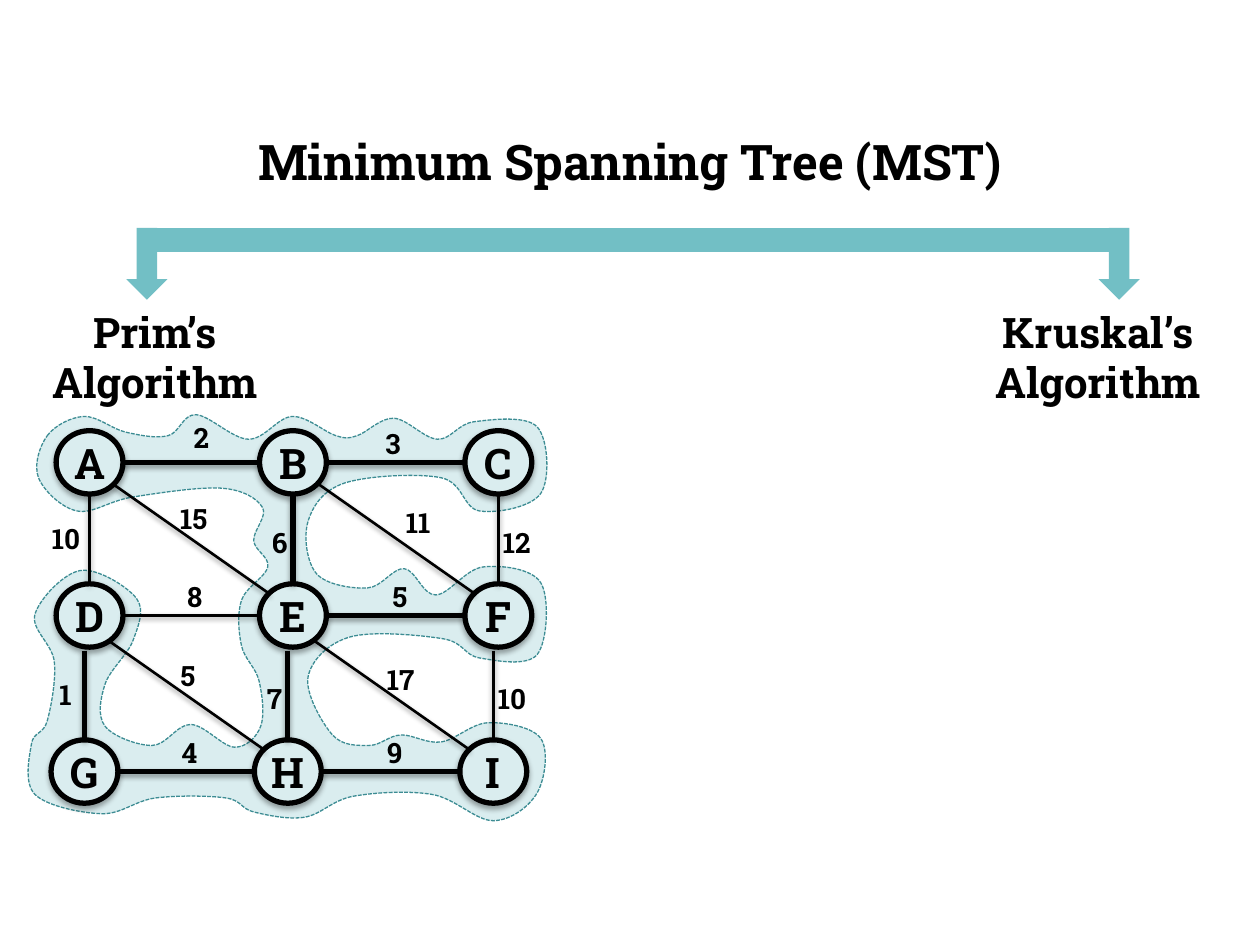
import pptx
import pptx.dml.color
import pptx.enum.dml
import pptx.enum.shapes
import pptx.enum.text
import pptx.oxml
import pptx.oxml.ns
import pptx.util

Pt = pptx.util.Pt
SHAPES = pptx.enum.shapes.MSO_SHAPE
ALIGN = pptx.enum.text.PP_ALIGN
NAMESPACE = pptx.oxml.ns.nsdecls("a")
FONT = "Roboto Slab"
BLACK, TEAL, PALE, DARK_TEAL = "000000", "72BFC5", "DAEDEF", "3C8C93"

# Content: headings as (lines, left, top, width, height, size, wrap)
HEADINGS = [
    ("Minimum Spanning Tree (MST)", 0, 71.6, 720, 41, 28, True),
    ("Prim’s\nAlgorithm", 21.6, 171.4, 134, 65.5, 24, False),
    ("Kruskal’s\nAlgorithm", 560.5, 171.4, 134, 65.5, 24, False),
]
BRACKET = [
    (SHAPES.RECTANGLE, 84.2, 130.3, 555, 13.7),
    (SHAPES.DOWN_ARROW, 72.2, 130.3, 23.5, 41),
    (SHAPES.DOWN_ARROW, 627.8, 130.3, 23.5, 41),
]

# Graph: node rows, and edges as (ends, weight, label left, label top)
NODE_ROWS = ["ABC", "DEF", "GHI"]
COLUMN_LEFTS = [32.1, 148.3, 265.7]
ROW_TOPS = [246.1, 333.6, 422.8]
ROW_SHIFTS = [0, 0, -2.9]
NODE_WIDTH, NODE_HEIGHT = 38.2, 36.2
TREE = {"AB", "BC", "BE", "EF", "EH", "GH", "HI", "DG"}
EDGES = [
    ("AB", 2, 103.5, 236.9), ("BC", 3, 213.1, 240.5),
    ("DE", 8, 99.9, 327.4), ("EF", 5, 217.2, 327.4),
    ("GH", 4, 96.7, 416.9), ("HI", 9, 214, 416.9),
    ("AD", 10, 22.5, 294.5), ("BE", 6, 148.3, 296.6), ("CF", 12, 280.3, 296.6),
    ("DG", 1, 26.8, 383.8), ("EH", 7, 145.4, 385.9), ("FI", 10, 277.4, 385.9),
    ("AE", 15, 95.8, 283), ("BF", 11, 224.8, 285.6),
    ("DH", 5, 96, 373), ("EI", 17, 214, 375.1),
]
# (row step, column step): offset of the end in its node, then run and rise
EDGE_GEOMETRY = {
    (0, 1): (0, NODE_HEIGHT / 2, 78.3, 0),
    (1, 0): (NODE_WIDTH / 2, 0, 0, 51),
    (1, 1): (5.8, 5.8, 89.3, 62.6),
}

# Bounds of the smooth tree outline, and the points it passes through
OUTLINE_BOUNDS = (16.6, 236.9, 295.9, 231.8)
OUTLINE = [
    (27, 249), (48, 238), (72, 247), (96, 249), (112, 237), (142, 251),
    (167, 238), (192, 249), (204, 249), (225, 239), (250, 251), (271, 241),
    (307, 244), (309, 282), (274, 292), (252, 273), (197, 276), (176, 298),
    (181, 328), (210, 336), (231, 325), (249, 340), (276, 324), (309, 333),
    (307, 374), (274, 376), (253, 365), (200, 364), (176, 387), (190, 420),
    (211, 426), (229, 420), (252, 424), (279, 413), (309, 422), (307, 453),
    (282, 469), (247, 454), (202, 455), (174, 467), (145, 464), (129, 456),
    (89, 456), (58, 465), (20, 454), (18, 425), (27, 412), (31, 378),
    (20, 351), (46, 326), (78, 342), (76, 366), (60, 391), (60, 415),
    (87, 426), (109, 414), (134, 427), (149, 415), (148, 389), (138, 369),
    (138, 343), (153, 324), (145, 309), (150, 290), (127, 279), (76, 284),
    (44, 292), (22, 273),
]


def color(value):
    return pptx.dml.color.RGBColor.from_string(value)


def style_shape(shape, fill, line=None, width=0):
    shape.fill.solid()
    shape.fill.fore_color.rgb = color(fill)
    if line:
        shape.line.color.rgb = color(line)
        shape.line.width = Pt(width)
    else:
        shape.line.fill.background()


def add_shadow(shape, distance, opacity):
    """Add a soft black shadow straight below the shape."""
    shape._element.spPr.append(pptx.oxml.parse_xml(
        f'<a:effectLst {NAMESPACE}><a:outerShdw blurRad="{Pt(3.1)}" dist="{Pt(distance)}" '
        f'dir="5400000" rotWithShape="0"><a:srgbClr val="{BLACK}">'
        f'<a:alpha val="{opacity * 1000}"/></a:srgbClr></a:outerShdw></a:effectLst>'))


def write_text(frame, text, size=16, align=ALIGN.LEFT, wrap=False, grow=True):
    frame.word_wrap = wrap
    if grow:
        frame.auto_size = pptx.enum.text.MSO_AUTO_SIZE.SHAPE_TO_FIT_TEXT
    for index, line in enumerate(text.split("\n")):
        paragraph = frame.add_paragraph() if index else frame.paragraphs[0]
        paragraph.alignment = align
        run = paragraph.add_run()
        run.text = line
        run.font.name = FONT
        run.font.size = Pt(size)
        run.font.bold = True
        run.font.color.rgb = color(BLACK)


def add_smooth_outline(shapes, points, bounds):
    """Build a closed freeform and bend its sides into Catmull-Rom curves."""
    corners = [(Pt(x), Pt(y)) for x, y in points]
    builder = shapes.build_freeform(*corners[0], scale=1.0)
    builder.add_line_segments(corners[1:], close=True)
    shape = builder.convert_to_shape()
    shape.left, shape.top, shape.width, shape.height = map(Pt, bounds)

    def point_xml(x, y):
        return f'<a:pt x="{round(x - shape.left)}" y="{round(y - shape.top)}"/>'

    curves = ""
    for index in range(len(corners)):
        before, start, end, after = (
            corners[(index + offset) % len(corners)] for offset in (-1, 0, 1, 2))
        leaving = [s + (e - b) / 6 for b, s, e in zip(before, start, end)]
        arriving = [e - (a - s) / 6 for s, e, a in zip(start, end, after)]
        curves += ("<a:cubicBezTo>" + point_xml(*leaving) + point_xml(*arriving)
                   + point_xml(*end) + "</a:cubicBezTo>")
    outline_path = pptx.oxml.parse_xml(
        f'<a:path {NAMESPACE} w="{shape.width}" h="{shape.height}">'
        f'<a:moveTo>{point_xml(*corners[0])}</a:moveTo>{curves}<a:close/></a:path>')
    path_list = shape._element.spPr.find(".//" + pptx.oxml.ns.qn("a:pathLst"))
    path_list.replace(path_list[0], outline_path)
    return shape


presentation = pptx.Presentation()
presentation.slide_width, presentation.slide_height = Pt(720), Pt(540)
slide = presentation.slides.add_slide(presentation.slide_layouts[6])
shapes = slide.shapes

# Tree outline
outline = add_smooth_outline(shapes, OUTLINE, OUTLINE_BOUNDS)
style_shape(outline, PALE, DARK_TEAL, 0.75)
outline.line.dash_style = pptx.enum.dml.MSO_LINE.SQUARE_DOT
outline.shadow.inherit = False

# Headings
for text, left, top, width, height, size, wrap in HEADINGS:
    box = shapes.add_textbox(Pt(left), Pt(top), Pt(width), Pt(height))
    write_text(box.text_frame, text, size=size, align=ALIGN.CENTER, wrap=wrap)

# Bracket leading to the two algorithms
for kind, *bounds in BRACKET:
    part = shapes.add_shape(kind, *map(Pt, bounds))
    style_shape(part, TEAL)
    part.shadow.inherit = False

# Nodes
nodes = {}
for row, names in enumerate(NODE_ROWS):
    for column, name in enumerate(names):
        left, top = COLUMN_LEFTS[column] + ROW_SHIFTS[row], ROW_TOPS[row]
        nodes[name] = (row, column, left, top)
        node = shapes.add_shape(SHAPES.OVAL, Pt(left), Pt(top), Pt(NODE_WIDTH), Pt(NODE_HEIGHT))
        style_shape(node, PALE, BLACK, 3)
        add_shadow(node, 1.8, 35)
        frame = node.text_frame
        frame.margin_left = frame.margin_right = Pt(2.9)
        frame.margin_top = frame.margin_bottom = Pt(3.6)
        frame.vertical_anchor = pptx.enum.text.MSO_ANCHOR.MIDDLE
        write_text(frame, name, size=24, align=ALIGN.CENTER, wrap=True, grow=False)

# Edges and weights
for ends, weight, label_left, label_top in EDGES:
    start_row, start_column, _, _ = nodes[ends[0]]
    row, column, left, top = nodes[ends[1]]
    offset_x, offset_y, run, rise = EDGE_GEOMETRY[row - start_row, column - start_column]
    end_x, end_y = left + offset_x, top + offset_y
    edge = shapes.add_connector(pptx.enum.shapes.MSO_CONNECTOR.STRAIGHT,
                                Pt(end_x - run), Pt(end_y - rise), Pt(end_x), Pt(end_y))
    edge.line.color.rgb = color(BLACK)
    edge.line.width = Pt(3 if ends in TREE else 1.5)
    add_shadow(edge, 1.6, 38)
    label_width = 24 if weight < 10 else 32.4
    label = shapes.add_textbox(Pt(label_left), Pt(label_top), Pt(label_width), Pt(26.6))
    write_text(label.text_frame, str(weight))

presentation.save("out.pptx")
